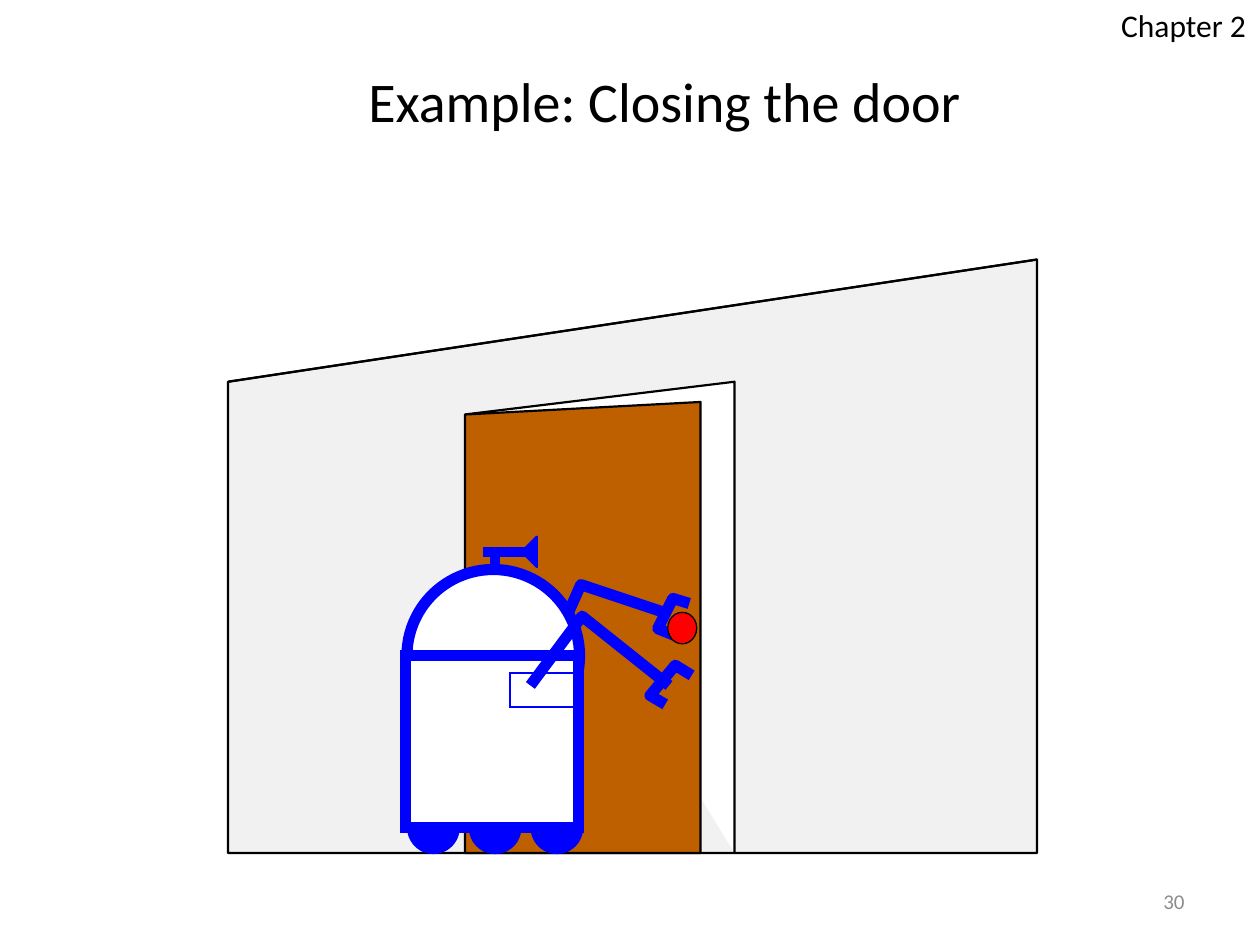
import pptx
import pptx.dml.color
import pptx.enum.shapes
import pptx.enum.text
import pptx.oxml.ns
import pptx.util
from lxml import etree

Inches = pptx.util.Inches
Pt = pptx.util.Pt
MSO = pptx.enum.shapes.MSO_SHAPE
ALIGN = pptx.enum.text.PP_ALIGN
ANCHOR = pptx.enum.text.MSO_ANCHOR
qn = pptx.oxml.ns.qn

BLACK, WHITE, BLUE = "000000", "FFFFFF", "0000FF"
WALL, DOOR, RED, GREY = "F1F1F1", "BE5F00", "FF0000", "8C8C8C"
THIN, THICK = 1.25, 6.38


def rgb(color):
    return pptx.dml.color.RGBColor.from_string(color)


def write(tf, text, size=18, color=BLACK, align=ALIGN.LEFT, font="Calibri"):
    p = tf.paragraphs[0]
    p.alignment = align
    r = p.add_run()
    r.text = text
    r.font.name = font
    r.font.size = Pt(size)
    r.font.color.rgb = rgb(color)


class Canvas:
    def __init__(self, slide):
        self.shapes = slide.shapes

    def style(self, sp, fill, line, width):
        sp.shadow.inherit = False
        if fill:
            sp.fill.solid()
            sp.fill.fore_color.rgb = rgb(fill)
        else:
            sp.fill.background()
        if line:
            sp.line.color.rgb = rgb(line)
            sp.line.width = Pt(width)
        else:
            sp.line.fill.background()

    def shape(self, kind, x, y, w, h, fill=None, line=None, width=THIN):
        sp = self.shapes.add_shape(kind, Inches(x), Inches(y), Inches(w), Inches(h))
        self.style(sp, fill, line, width)
        if kind == MSO.RECTANGLE and line:
            ln = sp._element.spPr.find(qn("a:ln"))
            etree.SubElement(ln, qn("a:miter"), lim="800000")

    def polygon(self, points, fill=None, line=None, width=THIN, close=True):
        pts = [(Inches(x), Inches(y)) for x, y in points]
        builder = self.shapes.build_freeform(*pts[0])
        builder.add_line_segments(pts[1:], close=close)
        self.style(builder.convert_to_shape(), fill, line, width)

    def line(self, start, end, color=BLACK, width=THIN):
        x1, y1, x2, y2 = (Inches(v) for v in (*start, *end))
        kind = pptx.enum.shapes.MSO_CONNECTOR.STRAIGHT
        c = self.shapes.add_connector(kind, x1, y1, x2, y2)
        c.line.color.rgb = rgb(color)
        c.line.width = Pt(width)
        etree.SubElement(c._element.spPr, qn("a:effectLst"))

    def text(self, x, y, w, h, text, wrap=True, anchor=ANCHOR.MIDDLE, **fmt):
        tf = self.shapes.add_textbox(Inches(x), Inches(y), Inches(w), Inches(h)).text_frame
        tf.word_wrap = wrap
        tf.vertical_anchor = anchor
        write(tf, text, **fmt)


def draw_room(c):
    floor, left, right = 6.77, 1.81, 8.23
    top_left, top_right = (left, 3.03), (right, 2.06)
    c.polygon([(left, floor), top_left, top_right, (right, floor)], WALL, BLACK)
    hinge, corner, foot = (3.69, 3.29), (5.83, 3.03), (5.83, floor)
    c.polygon([hinge, corner, foot], WHITE)
    c.polygon([hinge, corner, foot], line=BLACK, close=False)
    c.polygon([(3.69, floor), hinge, (5.56, 3.19), (5.56, floor)], DOOR, BLACK)
    c.line((left, floor), (right, floor))
    c.line(top_left, top_right)


def draw_robot(c):
    def limb(*points):
        c.polygon(points, line=BLUE, width=THICK, close=False)

    c.shape(MSO.RECTANGLE, 3.9, 4.41, 0.06, 0.12, BLUE, BLUE)
    c.shape(MSO.RECTANGLE, 3.84, 4.35, 0.36, 0.06, BLUE, BLUE)
    c.polygon([(4.14, 4.38), (4.26, 4.26), (4.26, 4.5)], BLUE, BLUE)
    limb((4.27, 5.41), (4.61, 4.64), (5.3, 4.87))
    c.shape(MSO.OVAL, 3.23, 4.52, 1.37, 1.37, WHITE, BLUE, THICK)
    for i in range(3):
        c.shape(MSO.OVAL, 3.24 + 0.49 * i, 6.37, 0.4, 0.4, BLUE, BLUE)
    c.shape(MSO.RECTANGLE, 3.22, 5.2, 1.37, 1.37, WHITE, BLUE, THICK)
    c.shape(MSO.RECTANGLE, 4.05, 5.34, 0.55, 0.27, line=BLUE)
    limb((4.21, 5.44), (4.62, 4.89), (5.31, 5.44))
    limb((5.28, 5.59), (5.16, 5.52), (5.36, 5.28), (5.49, 5.36))
    limb((5.37, 5.05), (5.22, 4.99), (5.34, 4.75), (5.47, 4.79))


def main():
    prs = pptx.Presentation()
    prs.slide_width, prs.slide_height = Inches(10), Inches(7.5)
    s = prs.slides.add_slide(prs.slide_layouts[6])
    c = Canvas(s)
    c.text(7.17, 6.95, 2.33, 0.4, "30", size=12, color=GREY, align=ALIGN.RIGHT)
    c.text(0.67, 0.48, 9.21, 0.63, "Example: Closing the door", size=32, align=ALIGN.CENTER)
    draw_room(c)
    draw_robot(c)
    c.shape(MSO.OVAL, 5.3, 4.86, 0.23, 0.25, RED, BLACK, 0.75)
    c.text(8.8, 0, 1.2, 0.4, "Chapter 2", wrap=False, anchor=ANCHOR.TOP)
    prs.save("out.pptx")


if __name__ == "__main__":
    main()
